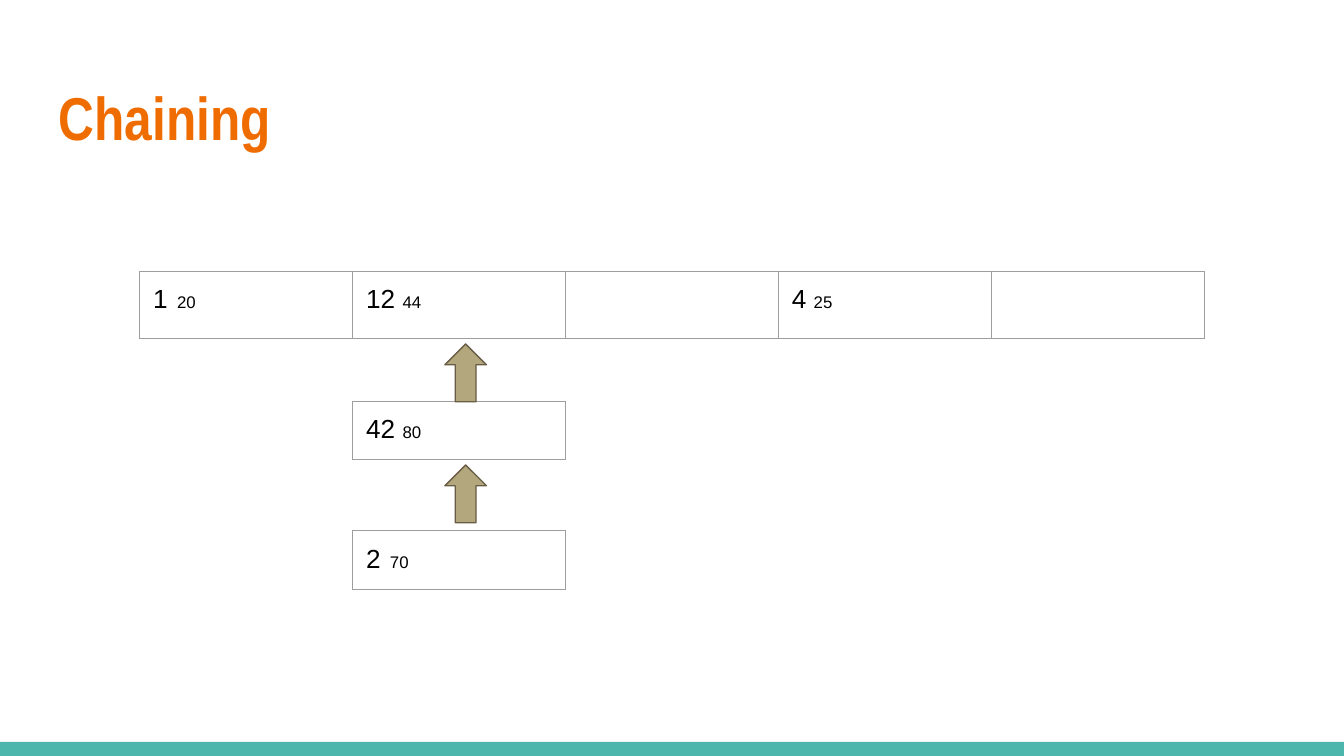
from dataclasses import dataclass

from lxml import etree
from pptx import Presentation
from pptx.dml.color import RGBColor
from pptx.enum.shapes import MSO_SHAPE
from pptx.enum.text import MSO_ANCHOR
from pptx.oxml.ns import qn
from pptx.util import Inches, Pt

BAR, ARROW = MSO_SHAPE.RECTANGLE, MSO_SHAPE.UP_ARROW
MIDDLE = MSO_ANCHOR.MIDDLE
WIDTH = 10
HEIGHT = WIDTH * 9 / 16
LEFT, TOP, COLUMN = 1.04, 2.02, 7.92 / 5
ROW, ROW_PITCH = 0.42, 1.93 / 2
MARGIN = 0.1


@dataclass(frozen=True)
class Theme:
    """Hold the colours, fonts and type sizes of the page."""
    title: str = "EF6C00"
    text: str = "000000"
    bar: str = "4DB6AC"
    border: str = "9E9E9E"
    arrow: str = "B3A77D"
    arrow_edge: str = "695D46"
    title_font: str = "Arial Narrow"
    body_font: str = "Arial"
    title_size: float = 32.4
    key_size: float = 14
    value_size: float = 9
    empty_size: float = 18
    line_width: float = 0.75


THEME = Theme()


def set_attributes(target, values):
    """Set each named format value on the target."""
    for name, value in values.items():
        setattr(target, name, value)


def add_span(para, text, color, **font):
    """Append a formatted span of text to a paragraph."""
    span = para.add_run()
    span.text = text
    set_attributes(span.font, font)
    span.font.color.rgb = RGBColor.from_string(color)


def end_para(para, size):
    """Set the font and size of a paragraph's end mark."""
    mark = etree.SubElement(para._p, qn("a:endParaRPr"), sz=str(size * 100))
    for script in ("latin", "ea", "cs"):
        etree.SubElement(mark, qn(f"a:{script}"), typeface=THEME.body_font)


def set_margins(target):
    """Give a box or a cell equal margins on all sides."""
    sides = ("left", "top", "right", "bottom")
    set_attributes(target, {f"margin_{side}": Inches(MARGIN) for side in sides})


def add_title(page, text):
    """Add the bold page title."""
    box = page.shapes.add_textbox(
        *map(Inches, (0.034 * WIDTH, 0.48, 0.932 * WIDTH, 0.77)))
    frame = box.text_frame
    set_margins(frame)
    set_attributes(frame, {"word_wrap": True, "vertical_anchor": MIDDLE})
    add_span(frame.paragraphs[0], text, THEME.title, name=THEME.title_font,
             size=Pt(THEME.title_size), bold=True)


def add_figure(page, kind, place, fill, edge=None):
    """Add a preset shape with a flat fill and an optional edge."""
    figure = page.shapes.add_shape(kind, *map(Inches, place))
    figure.shadow.inherit = False
    figure.fill.solid()
    figure.fill.fore_color.rgb = RGBColor.from_string(fill)
    if edge:
        figure.line.color.rgb = RGBColor.from_string(edge)
        figure.line.width = Pt(THEME.line_width)
    else:
        figure.line.fill.background()


def add_borders(cell):
    """Draw a thin line on each side of a cell."""
    properties = cell._tc.get_or_add_tcPr()
    for side in "LRTB":
        line = etree.SubElement(properties, qn(f"a:ln{side}"),
                                w=str(Pt(THEME.line_width)))
        fill = etree.SubElement(line, qn("a:solidFill"))
        etree.SubElement(fill, qn("a:srgbClr"), val=THEME.border)


def add_slots(page, column, row, entries):
    """Add a one-row table of key and value pairs at a grid position."""
    place = (LEFT + column * COLUMN, TOP + row * ROW_PITCH,
             len(entries) * COLUMN, ROW)
    table = page.shapes.add_table(1, len(entries), *map(Inches, place)).table
    set_attributes(table, {"first_row": False, "horz_banding": False})
    sizes = (THEME.key_size, THEME.value_size)
    for cell, entry in zip(table.iter_cells(), entries):
        set_margins(cell)
        add_borders(cell)
        cell.fill.background()
        para = cell.text_frame.paragraphs[0]
        for text, size in zip(entry, sizes):
            add_span(para, text, THEME.text, name=THEME.body_font,
                     size=Pt(size))
        end_para(para, THEME.value_size if entry else THEME.empty_size)


def main():
    """Build the hash table page with its chain."""
    deck = Presentation()
    set_attributes(deck, {"slide_width": Inches(WIDTH),
                          "slide_height": Inches(HEIGHT)})
    page = deck.slides.add_slide(deck.slide_layouts[6])
    add_figure(page, BAR, (0, 5.52, WIDTH, HEIGHT - 5.52), THEME.bar)
    add_title(page, "Chaining")
    add_slots(page, 0, 0, [("1", "  20"), ("12 ", "44"), (), ("4 ", "25"), ()])
    for index, entry in enumerate([("42 ", "80"), ("2", "  70")]):
        add_slots(page, 1, index + 1, [entry])
        add_figure(page, ARROW, (3.31, 2.56 + 0.9 * index, 0.31, 0.43),
                   THEME.arrow, THEME.arrow_edge)
    deck.save("out.pptx")


main()
